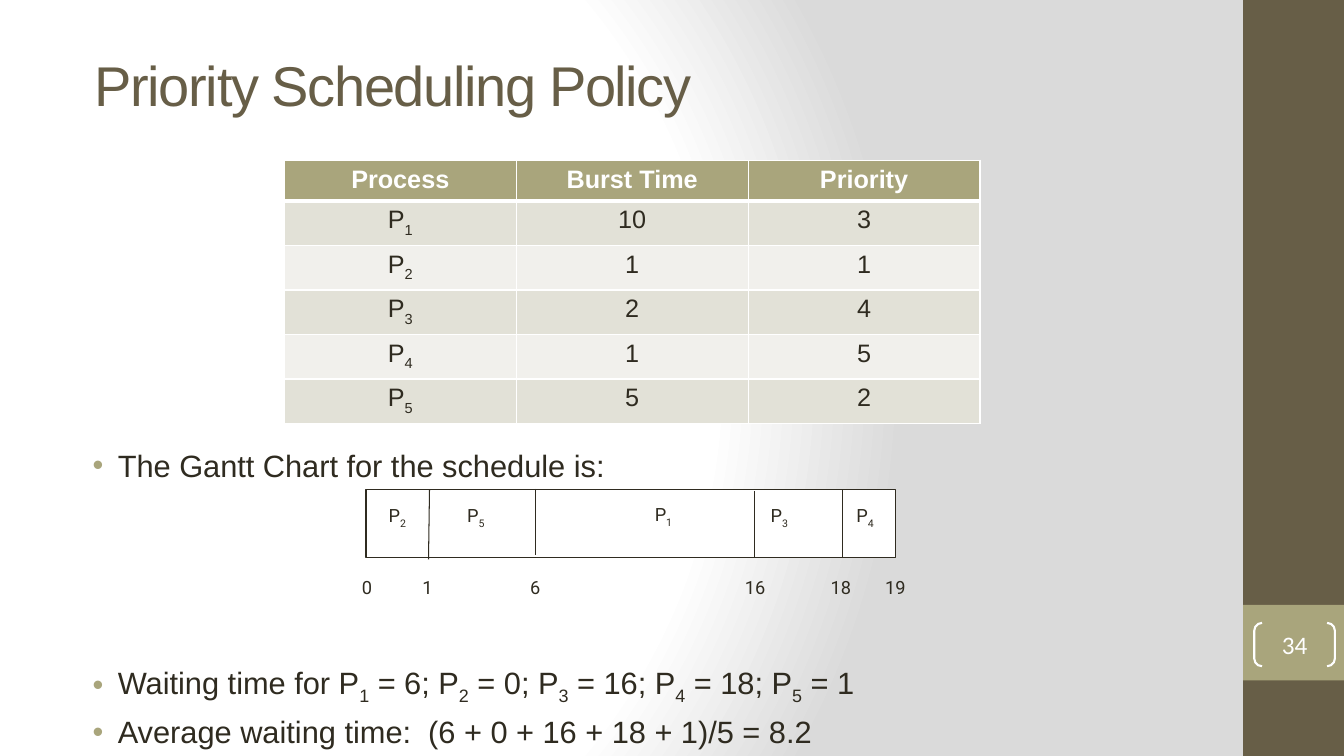
from typing import NamedTuple

from lxml import etree
from pptx import Presentation
from pptx.dml.color import RGBColor
from pptx.enum import shapes, text
from pptx.oxml import ns, parse_xml
from pptx.util import Inches, Pt

INK = {
    "brown": "675E47",
    "olive": "A9A57C",
    "dark": "2F2B20",
    "white": "FFFFFF",
    "grey": "DADADA",
    "band": "E2E1D7",
    "pale": "F1F0EC",
}


class Label(NamedTuple):
    words: str
    mid: float
    top: float = 4.97
    wide: float = 0.39


class Rule(NamedTuple):
    left: float
    top: float
    right: float
    base: float


class Point(NamedTuple):
    words: str
    gap: float


ROWS = [
    ("Process", "Burst Time", "Priority"),
    ("P_1", "10", "3"),
    ("P_2", "1", "1"),
    ("P_3", "2", "4"),
    ("P_4", "1", "5"),
    ("P_5", "5", "2"),
]
JOBS = [
    Label("P_2", 3.94),
    Label("P_5", 4.72),
    Label("P_1", 6.58, 4.96),
    Label("P_3", 7.73),
    Label("P_4", 8.58),
]
TICKS = [
    Label(words, mid, 5.67, 0.4)
    for words, mid in [("0", 3.64), ("1", 4.24), ("6", 5.31),
                       ("16", 7.49), ("18", 8.34), ("19", 8.88)]
]
RULES = [
    Rule(4.26, 4.86, 4.25, 5.55),
    Rule(5.31, 4.85, 5.31, 5.51),
    Rule(7.48, 4.87, 7.48, 5.53),
    Rule(8.36, 4.86, 8.36, 5.53),
]
POINTS = [
    Point("The Gantt Chart for the schedule is:", 0),
    Point("Waiting time for P_1 = 6; P_2 = 0; P_3 = 16; P_4 = 18; P_5 = 1", 129),
    Point("Average waiting time:  (6 + 0 + 16 + 18 + 1)/5 = 8.2", 5),
]


def tint(name: str) -> RGBColor:
    return RGBColor.from_string(INK[name])


def write(para, words: str, size: float = 18, face: str = "Arial", ink: str = "dark",
          bold: bool = False, align=text.PP_ALIGN.CENTER, track: int = 0) -> None:
    para.alignment = align
    head, *rest = words.split("_")
    parts = [(head, False)]
    for part in rest:
        parts += [(part[0], True), (part[1:], False)]
    for part, low in parts:
        if not part:
            continue
        run = para.add_run()
        run.text = part
        run.font.size = Pt(size)
        run.font.name = face
        run.font.bold = bold
        run.font.color.rgb = tint(ink)
        props = run._r.get_or_add_rPr()
        if low:
            props.set("baseline", "-25000")
        if track:
            props.set("spc", str(track))


def shade(slide) -> None:
    slide.background.fill.gradient()
    old = slide.element.find(".//" + ns.qn("a:gradFill"))
    stops = "".join(
        f'<a:gs pos="{pos}"><a:srgbClr val="{INK[name]}"/></a:gs>'
        for pos, name in [(0, "white"), (75000, "white"), (100000, "grey")]
    )
    new = parse_xml(
        f'<a:gradFill {ns.nsdecls("a")} rotWithShape="1"><a:gsLst>{stops}</a:gsLst>'
        '<a:path path="circle"><a:fillToRect l="20000" t="50000" r="100000" b="50000"/>'
        '</a:path></a:gradFill>'
    )
    old.getparent().replace(old, new)


def block(slide, left: float, top: float, wide: float, high: float,
          fill: str = "", line: str = "", weight: float = 0.75,
          kind=shapes.MSO_SHAPE.RECTANGLE):
    shape = slide.shapes.add_shape(
        kind, Inches(left), Inches(top), Inches(wide), Inches(high))
    shape.shadow.inherit = False
    if fill:
        shape.fill.solid()
        shape.fill.fore_color.rgb = tint(fill)
    else:
        shape.fill.background()
    if line:
        shape.line.color.rgb = tint(line)
        shape.line.width = Pt(weight)
    else:
        shape.line.fill.background()
    return shape


def side(slide) -> None:
    block(slide, 12.33, 0, 1, 7.5, "brown")
    block(slide, 12.33, 6, 1, 0.75, "olive")
    badge = block(slide, 12.44, 6.18, 0.8, 0.43, line="white", weight=1.5,
                  kind=shapes.MSO_SHAPE.DOUBLE_BRACKET)
    badge.adjustments[0] = 0.18
    frame = badge.text_frame
    frame.margin_left = frame.margin_right = 0
    frame.margin_top = frame.margin_bottom = 0
    frame.vertical_anchor = text.MSO_ANCHOR.MIDDLE
    write(frame.paragraphs[0], "34", face="Calibri", ink="white")


def title(slide) -> None:
    shape = slide.shapes.title
    shape.left, shape.top = Inches(0.84), Inches(0.61)
    shape.width, shape.height = Inches(10.91), Inches(0.45)
    frame = shape.text_frame
    frame.auto_size = text.MSO_AUTO_SIZE.NONE
    frame.vertical_anchor = text.MSO_ANCHOR.MIDDLE
    write(frame.paragraphs[0], "Priority Scheduling Policy", size=40, ink="brown",
          align=text.PP_ALIGN.LEFT, track=-100)


def body(slide) -> None:
    box = slide.shapes.add_textbox(Inches(0.69), Inches(4.38), Inches(11.41), Inches(3.12))
    frame = box.text_frame
    frame.word_wrap = True
    for index, point in enumerate(POINTS):
        para = frame.add_paragraph() if index else frame.paragraphs[0]
        props = para._p.get_or_add_pPr()
        props.set("marL", str(Inches(0.38)))
        props.set("indent", str(Inches(-0.25)))
        color = etree.SubElement(props, ns.qn("a:buClr"))
        etree.SubElement(color, ns.qn("a:srgbClr"), val=INK["olive"])
        etree.SubElement(props, ns.qn("a:buFont"), typeface="Arial")
        etree.SubElement(props, ns.qn("a:buChar"), char="•")
        para.space_before = Pt(point.gap)
        write(para, point.words, size=22, align=text.PP_ALIGN.LEFT)


def edge(cell, head: bool, below: bool) -> None:
    props = cell._tc.get_or_add_tcPr()
    for tag in ("lnL", "lnR", "lnT", "lnB"):
        thick = (head and tag == "lnB") or (below and tag == "lnT")
        line = etree.SubElement(props, ns.qn("a:" + tag), w=str(Pt(3 if thick else 1)))
        fill = etree.SubElement(line, ns.qn("a:solidFill"))
        etree.SubElement(fill, ns.qn("a:srgbClr"), val=INK["white"])


def grid(slide) -> None:
    table = slide.shapes.add_table(
        len(ROWS), 3, Inches(2.82), Inches(1.59), Inches(6.9), Inches(2.43)).table
    for r, row in enumerate(ROWS):
        head = r == 0
        for c, words in enumerate(row):
            cell = table.cell(r, c)
            edge(cell, head, r == 1)
            cell.fill.solid()
            cell.fill.fore_color.rgb = tint("olive" if head else "band" if r % 2 else "pale")
            write(cell.text_frame.paragraphs[0], words, bold=head,
                  ink="white" if head else "dark")


def gantt(slide) -> None:
    block(slide, 3.63, 4.86, 5.25, 0.67, "white", "dark")
    for rule in RULES:
        line = slide.shapes.add_connector(
            shapes.MSO_CONNECTOR.STRAIGHT, *(Inches(n) for n in rule))
        line.line.color.rgb = tint("dark")
        line.line.width = Pt(0.75)
        etree.SubElement(line._element.spPr, ns.qn("a:effectLst"))
    for label in JOBS + TICKS:
        box = slide.shapes.add_textbox(Inches(label.mid - label.wide / 2), Inches(label.top),
                                       Inches(label.wide), Inches(0.32))
        frame = box.text_frame
        frame.word_wrap = False
        frame.auto_size = text.MSO_AUTO_SIZE.SHAPE_TO_FIT_TEXT
        frame.vertical_anchor = text.MSO_ANCHOR.MIDDLE
        write(frame.paragraphs[0], label.words, size=13, face="Roboto")


def main() -> None:
    deck = Presentation()
    deck.slide_width, deck.slide_height = Inches(13.33), Inches(7.5)
    slide = deck.slides.add_slide(deck.slide_layouts[5])
    for draw in (shade, side, title, body, grid, gantt):
        draw(slide)
    deck.save("out.pptx")


if __name__ == "__main__":
    main()
